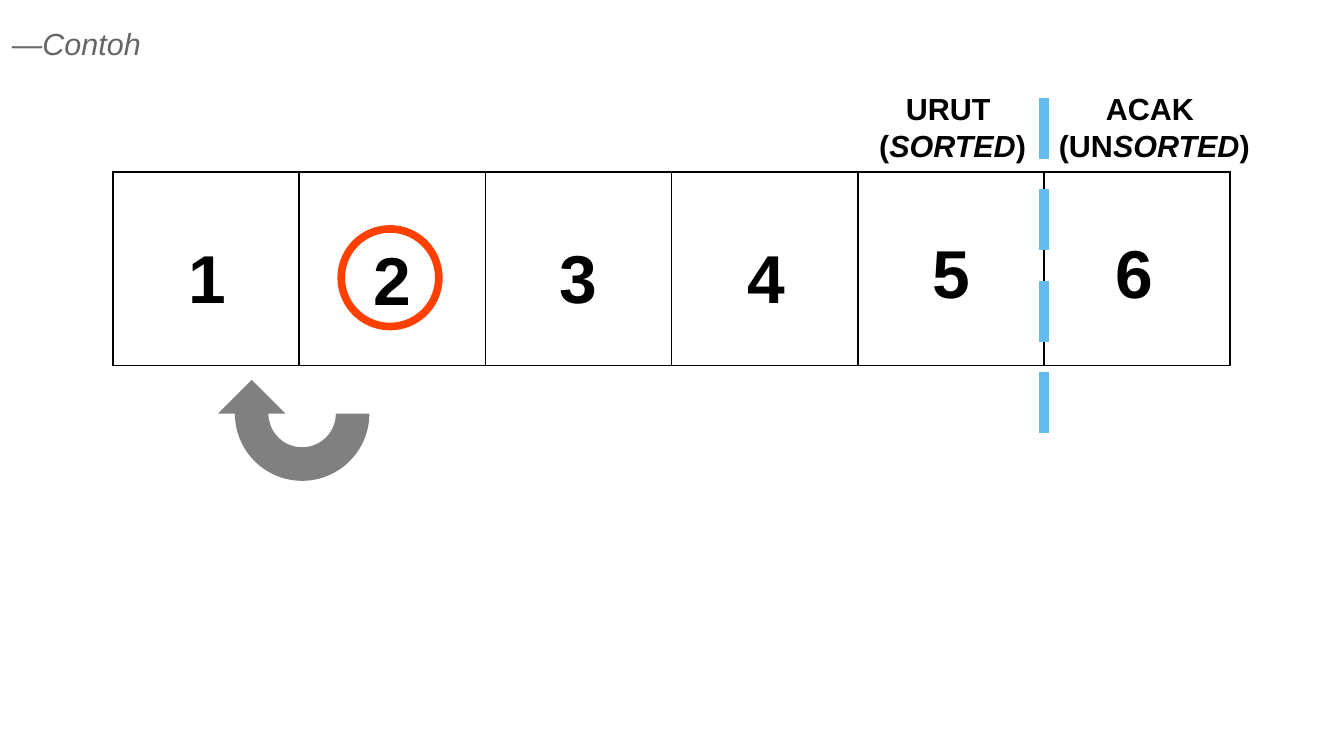
from dataclasses import dataclass
from math import cos, pi, sin

from lxml import etree
from pptx import Presentation
from pptx.dml import color as dml
from pptx.enum import shapes, text
from pptx.oxml import ns
from pptx.util import Pt


@dataclass
class Run:
    text: str
    slant: bool = False


@dataclass
class Label:
    lines: list[list[Run]]
    left: float
    top: float
    width: float
    height: float
    size: float = 18
    tint: str = "000000"
    bold: bool = True
    align: text.PP_ALIGN = text.PP_ALIGN.CENTER


FRAME = {
    "word_wrap": True,
    "auto_size": text.MSO_AUTO_SIZE.SHAPE_TO_FIT_TEXT,
    "vertical_anchor": text.MSO_ANCHOR.TOP,
    "margin_left": Pt(7.2),
    "margin_right": Pt(7.2),
    "margin_top": Pt(3.6),
    "margin_bottom": Pt(3.6),
}
PLAIN = {"first_row": False, "horz_banding": False}
LEFT, TOP, SIDE, HIGH, COUNT = 66.8, 101.4, 109.9, 114.4, 6
RULE = 1.13
DIGITS = [(93.6, 135.4), (203, 136.8), (312.5, 135.4),
          (423.4, 135.4), (532.8, 132.5), (640.8, 132.5)]

HEADS = [
    Label([[Run("—Contoh", True)]], 0, 11.5, 223.2, 28.8,
          tint="666666", bold=False, align=text.PP_ALIGN.LEFT),
    Label([[Run("URUT ")], [Run("("), Run("SORTED", True), Run(")")]],
          502.6, 49.7, 119.5, 67.7),
    Label([[Run("ACAK ")], [Run("(UN"), Run("SORTED", True), Run(")")]],
          613.4, 49.7, 136.1, 67.7),
]


def tone(code: str) -> dml.RGBColor:
    return dml.RGBColor.from_string(code)


def put(item, values: dict) -> None:
    for name, value in values.items():
        setattr(item, name, value)


def edge(cell) -> None:
    props = cell._tc.get_or_add_tcPr()
    for side in ("lnL", "lnR", "lnT", "lnB"):
        line = etree.SubElement(props, ns.qn(f"a:{side}"), w=str(Pt(RULE)))
        fill = etree.SubElement(line, ns.qn("a:solidFill"))
        etree.SubElement(fill, ns.qn("a:srgbClr"), val="000000")
    cell.fill.background()


def draw_grid(slide) -> None:
    grid = slide.shapes.add_table(
        1, COUNT, Pt(LEFT), Pt(TOP), Pt(SIDE * COUNT), Pt(HIGH)).table
    put(grid, PLAIN)
    for col in grid.columns:
        col.width = Pt(SIDE)
    for cell in grid.iter_cells():
        edge(cell)


def draw_label(slide, label: Label) -> None:
    box = slide.shapes.add_textbox(
        Pt(label.left), Pt(label.top), Pt(label.width), Pt(label.height))
    frame = box.text_frame
    put(frame, FRAME)
    for place, line in enumerate(label.lines):
        para = frame.add_paragraph() if place else frame.paragraphs[0]
        para.alignment = label.align
        for part in line:
            run = para.add_run()
            run.text = part.text
            put(run.font, {"name": "Arial", "size": Pt(label.size),
                           "bold": label.bold, "italic": part.slant})
            run.font.color.rgb = tone(label.tint)


def draw_split(slide) -> None:
    across = Pt(LEFT + 5 * SIDE)
    split = slide.shapes.add_connector(
        shapes.MSO_CONNECTOR.STRAIGHT, across, Pt(57.6), across, Pt(270.7))
    split.line.width = Pt(6)
    split.line.color.rgb = tone("63BBEE")
    dash = etree.SubElement(split.line._ln, ns.qn("a:custDash"))
    etree.SubElement(dash, ns.qn("a:ds"), d="600000", sp="300000")
    etree.SubElement(split._element.spPr, ns.qn("a:effectLst"))


def draw_turn(slide) -> None:
    mid, base, outer, inner, steps = 178.4, 244.2, 39.7, 19.9, 48
    tip = mid - (outer + inner) / 2
    angles = [pi * step / steps for step in range(steps + 1)]
    points = [(mid + inner * cos(a), base + inner * sin(a))
              for a in reversed(angles)]
    points += [(mid + outer * cos(a), base + outer * sin(a)) for a in angles]
    points += [(tip - inner, base), (tip, base - inner), (tip + inner, base)]
    first, *rest = [(Pt(x), Pt(y)) for x, y in points]
    pen = slide.shapes.build_freeform(*first)
    pen.add_line_segments(rest, close=True)
    turn = pen.convert_to_shape()
    turn.shadow.inherit = False
    turn.fill.solid()
    turn.fill.fore_color.rgb = tone("808080")
    turn.line.fill.background()


def draw_ring(slide) -> None:
    ring = slide.shapes.add_shape(
        shapes.MSO_SHAPE.OVAL, Pt(201.5), Pt(135.2), Pt(57.6), Pt(57.6))
    ring.shadow.inherit = False
    ring.fill.background()
    ring.line.width = Pt(4.5)
    ring.line.color.rgb = tone("FF4000")


def main() -> None:
    deck = Presentation()
    put(deck, {"slide_width": Pt(793.44), "slide_height": Pt(446.4)})
    slide = deck.slides.add_slide(deck.slide_layouts[6])
    draw_grid(slide)
    draw_split(slide)
    digits = [Label([[Run(str(value))]], left, top, 57.6, 51.8, size=40)
              for value, (left, top) in enumerate(DIGITS, 1)]
    for label in HEADS + digits:
        draw_label(slide, label)
    draw_turn(slide)
    draw_ring(slide)
    deck.save("out.pptx")


if __name__ == "__main__":
    main()
